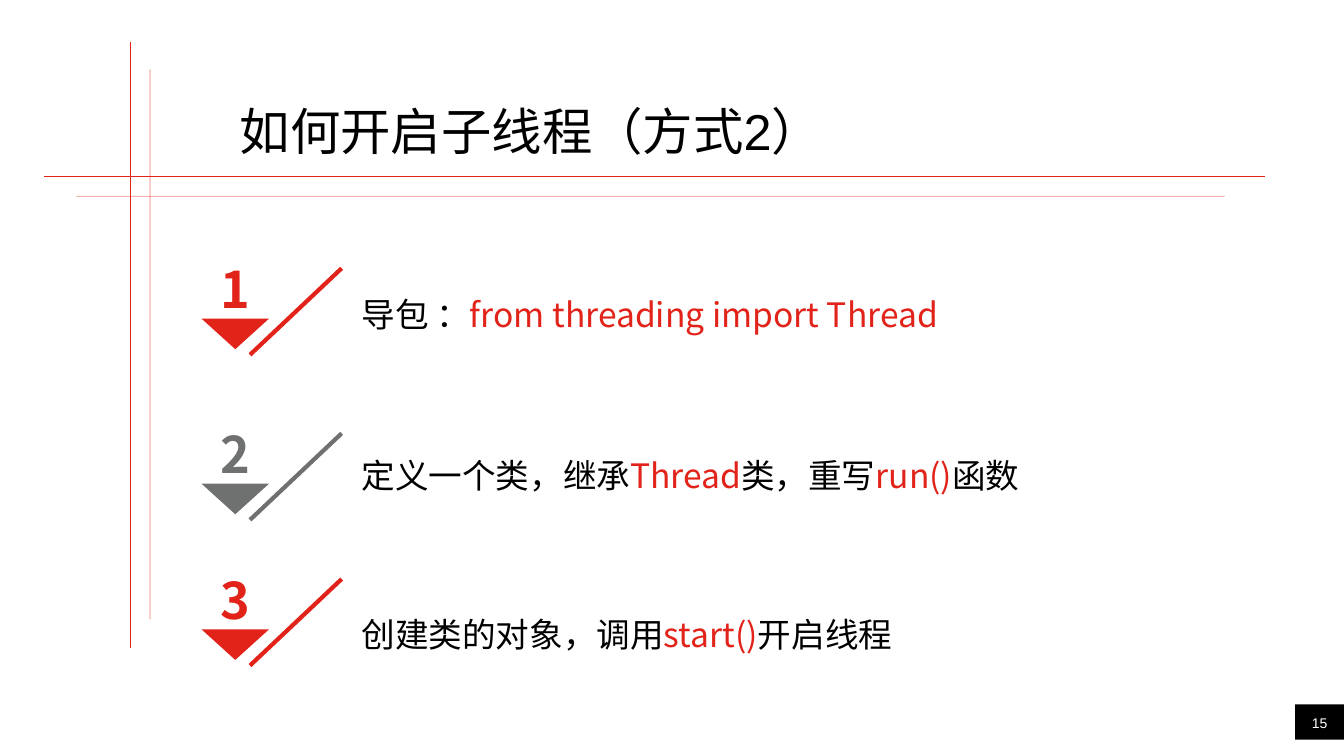
from lxml import etree
from pptx import Presentation
from pptx.dml.color import RGBColor
from pptx.enum.shapes import MSO_CONNECTOR, MSO_SHAPE
from pptx.enum.text import MSO_ANCHOR, PP_ALIGN
from pptx.oxml.ns import qn
from pptx.util import Cm, Pt

STRAIGHT = MSO_CONNECTOR.STRAIGHT
RECTANGLE = MSO_SHAPE.RECTANGLE
TOP, MIDDLE, BOTTOM = MSO_ANCHOR.TOP, MSO_ANCHOR.MIDDLE, MSO_ANCHOR.BOTTOM
LEFT, CENTER = PP_ALIGN.LEFT, PP_ALIGN.CENTER

RED = RGBColor(0xE2, 0x23, 0x1A)
GREY = RGBColor(0x6F, 0x71, 0x70)
BLACK = RGBColor(0, 0, 0)
WHITE = RGBColor(0xFF, 0xFF, 0xFF)
CJK, LATIN = "Noto Sans CJK SC", "Arial"

# All lengths are in centimetres.
TITLE = "如何开启子线程（方式2）"
PAGE_NUMBER = "15"
# start, end, opacity in percent
RULES = [
    ((3.78, 1.75), (3.78, 15.6), 32),
    ((1.12, 4.45), (31.88, 4.45), 100),
    ((1.93, 4.95), (30.86, 4.95), 35),
    ((3.28, 1.07), (3.28, 16.33), 100),
]
# marker colour, triangle top, text box (top, width, height), line spacing, pieces
STEPS = [
    (RED, 8.03, (7.09, 15.54, 1.47), 1.2,
     [("导包 ：", BLACK), ("from threading import Thread", RED)]),
    (GREY, 12.19, (10.92, 23.14, 1.68), 1.4,
     [("定义一个类，继承", BLACK), ("Thread", RED), ("类，重写", BLACK),
      ("run()", RED), ("函数", BLACK)]),
    (RED, 15.86, (14.94, 15.54, 1.68), 1.4,
     [("创建类的对象，调用", BLACK), ("start()", RED), ("开启线程", BLACK)]),
]
STEP_TEXT_LEFT = 8.86
MARKER_LEFT, MARKER_WIDTH, MARKER_HEIGHT = 5.08, 1.7, 0.77


def add_line(shapes, start, end, color, width, opacity=100):
    line = shapes.add_connector(STRAIGHT, *map(Cm, start + end))
    line.line.color.rgb = color
    line.line.width = Pt(width)
    if opacity < 100:
        rgb = line.line._ln.find(".//" + qn("a:srgbClr"))
        etree.SubElement(rgb, qn("a:alpha")).set("val", str(opacity * 1000))
    etree.SubElement(line._element.spPr, qn("a:effectLst"))


def add_text(shapes, box, pieces, size, font=CJK, bold=False, align=LEFT,
             anchor=TOP, spacing=None, inset=True):
    """Add a one-paragraph text box made of (text, colour) pieces."""
    frame = shapes.add_textbox(*map(Cm, box)).text_frame
    frame.word_wrap = True
    frame.vertical_anchor = anchor
    if not inset:
        frame.margin_left = frame.margin_right = 0
        frame.margin_top = frame.margin_bottom = 0
    paragraph = frame.paragraphs[0]
    paragraph.alignment = align
    if spacing:
        paragraph.line_spacing = spacing
    for text, color in pieces:
        run = paragraph.add_run()
        run.text = text
        run.font.size = Pt(size)
        run.font.bold = bold
        run.font.color.rgb = color
        run.font.name = font
        etree.SubElement(run.font._element, qn("a:ea")).set("typeface", CJK)


def fill_plain(shape, color):
    shape.fill.solid()
    shape.fill.fore_color.rgb = color
    shape.line.fill.background()
    shape.shadow.inherit = False


def add_marker(slide, number, color, top):
    """Add a number above a downward triangle, with a slash to its right."""
    shapes = slide.shapes.add_group_shape().shapes
    add_line(shapes, (8.61, top - 1.27), (6.3, top + 0.91), color, 3)
    right = MARKER_LEFT + MARKER_WIDTH
    tip = (Cm(MARKER_LEFT + MARKER_WIDTH / 2), Cm(top + MARKER_HEIGHT))
    outline = shapes.build_freeform(Cm(MARKER_LEFT), Cm(top))
    outline.add_line_segments([(Cm(right), Cm(top)), tip])
    fill_plain(outline.convert_to_shape(), color)
    add_text(shapes, (5.03, top - 1.75, 1.8, 1.75), [(str(number), color)], 36,
             bold=True, align=CENTER, anchor=BOTTOM, spacing=1.2, inset=False)


def main():
    deck = Presentation()
    deck.slide_width, deck.slide_height = Cm(33.87), Cm(19.05)
    slide = deck.slides.add_slide(deck.slide_layouts[6])

    page_tab = slide.shapes.add_shape(
        RECTANGLE, Cm(32.64), Cm(17.75), Cm(1.23), Cm(0.89))
    fill_plain(page_tab, BLACK)
    add_text(slide.shapes, (32.64, 17.75, 1.23, 0.69), [(PAGE_NUMBER, WHITE)],
             10, font=LATIN, align=CENTER, anchor=BOTTOM, inset=False)

    add_text(slide.shapes, (3.93, 2.13, 18.9, 2.31), [(TITLE, BLACK)], 36,
             font=LATIN, align=CENTER, anchor=MIDDLE)
    for start, end, opacity in RULES:
        add_line(slide.shapes, start, end, RED, 0.75, opacity)

    for number, (color, marker_top, box, spacing, pieces) in enumerate(STEPS, 1):
        add_marker(slide, number, color, marker_top)
        add_text(slide.shapes, (STEP_TEXT_LEFT, *box), pieces, 24, spacing=spacing)

    deck.save("out.pptx")


if __name__ == "__main__":
    main()
